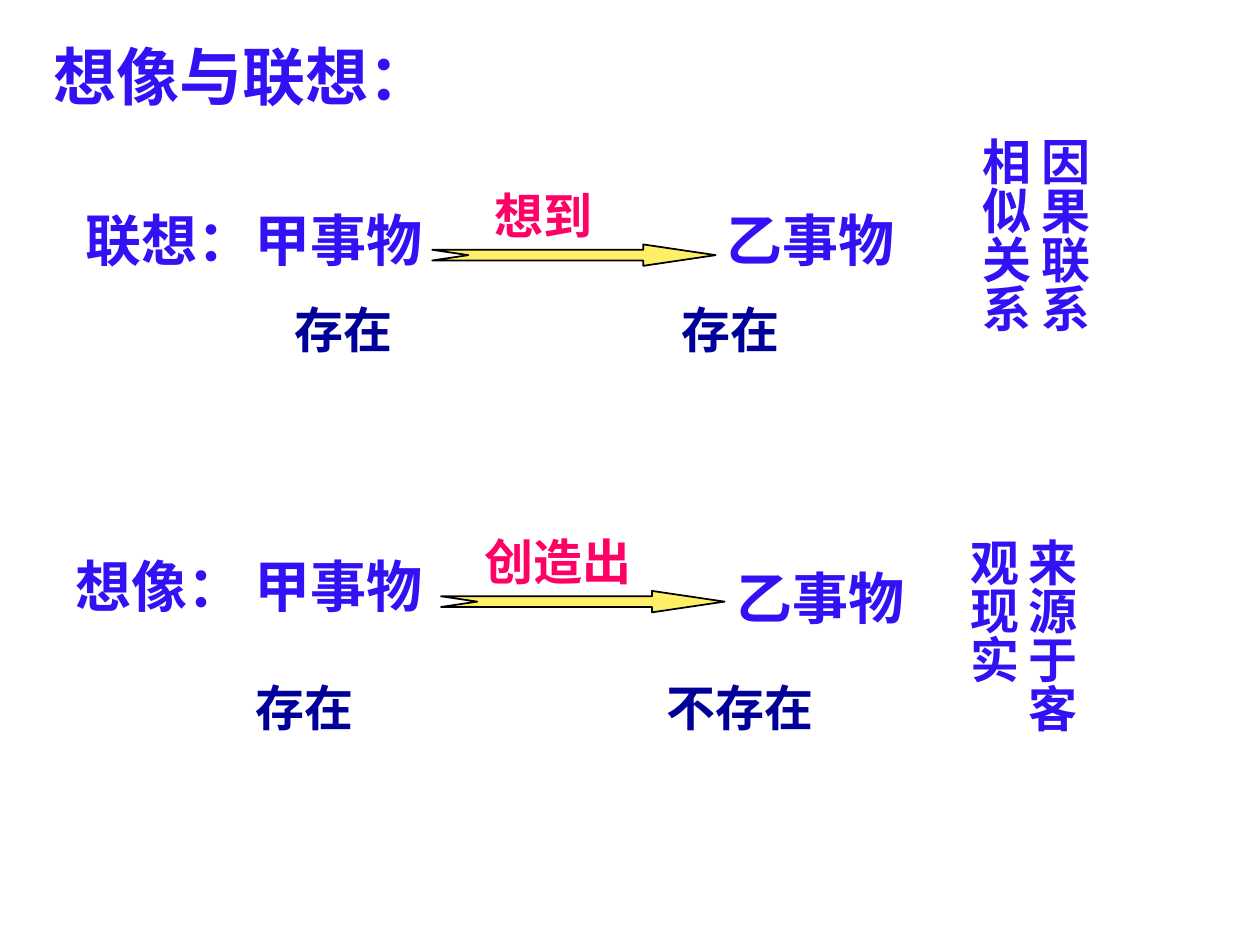
"""Builds a slide contrasting association and imagination."""
from lxml.etree import SubElement
from pptx import Presentation
from pptx.dml.color import RGBColor
from pptx.enum.lang import MSO_LANGUAGE_ID
from pptx.enum.shapes import MSO_SHAPE
from pptx.enum.text import MSO_AUTO_SIZE
from pptx.oxml.ns import qn
from pptx.util import Inches, Pt

BLUE = RGBColor(0x32, 0x11, 0xF5)
NAVY = RGBColor(0x00, 0x00, 0x99)
PINK = RGBColor(0xFF, 0x00, 0x66)
YELLOW = RGBColor(0xFF, 0xEF, 0x66)
BLACK = RGBColor(0x00, 0x00, 0x00)


class Board:
    FONT = {"name": "Arial", "bold": True,
            "language_id": MSO_LANGUAGE_ID.SIMPLIFIED_CHINESE}
    FRAME = {"word_wrap": True, "auto_size": MSO_AUTO_SIZE.SHAPE_TO_FIT_TEXT}
    SIDEWAYS = {"margin_left": Inches(0.05), "margin_right": Inches(0.05),
                "margin_top": Inches(0.1), "margin_bottom": Inches(0.1)}

    def __init__(self, slide):
        self.slide = slide

    def label(self, words, left, top, width, height, size, color):
        box = self.slide.shapes.add_textbox(
            Inches(left), Inches(top), Inches(width), Inches(height))
        frame = box.text_frame
        for key, value in self.FRAME.items():
            setattr(frame, key, value)
        run = frame.paragraphs[0].add_run()
        run.text = words
        for key, value in {**self.FONT, "size": Pt(size)}.items():
            setattr(run.font, key, value)
        run.font.color.rgb = color
        SubElement(run.font._element, qn("a:ea"), typeface=self.FONT["name"])
        return frame

    def vertical_label(self, words, left, top, height):
        frame = self.label(words, left, top, 1.13, height, 28, BLUE)
        for key, value in self.SIDEWAYS.items():
            setattr(frame, key, value)
        frame._txBody.bodyPr.set("vert", "eaVert")

    def arrow(self, left, top):
        arrow = self.slide.shapes.add_shape(
            MSO_SHAPE.NOTCHED_RIGHT_ARROW,
            Inches(left), Inches(top), Inches(2.25), Inches(0.17))
        arrow.adjustments[1] = 3.38
        arrow.shadow.inherit = False
        arrow.fill.solid()
        arrow.fill.fore_color.rgb = YELLOW
        arrow.line.color.rgb = BLACK
        arrow.line.width = Pt(1)


def main():
    deck = Presentation()
    deck.slide_width, deck.slide_height = Inches(10), Inches(7.5)
    board = Board(deck.slides.add_slide(deck.slide_layouts[6]))

    board.label("想像与联想：", 0.33, 0.25, 3.33, 0.7, 36, BLUE)
    for words, left, top, width in (
            ("联想：", 0.58, 1.58, 2), ("甲事物", 1.92, 1.58, 1.67),
            ("乙事物", 5.67, 1.58, 2.5), ("想像：", 0.5, 4.33, 1.67),
            ("甲事物", 1.92, 4.33, 1.75), ("乙事物", 5.75, 4.42, 2.42)):
        board.label(words, left, top, width, 0.64, 32, BLUE)
    for words, left, top, width, color in (
            ("想到", 3.83, 1.42, 1.83, PINK), ("创造出", 3.75, 4.17, 1.75, PINK),
            ("存在", 2.24, 2.33, 1.5, NAVY), ("存在", 5.31, 2.33, 1.5, NAVY),
            ("存在", 1.93, 5.33, 1.5, NAVY), ("不存在", 5.19, 5.33, 1.5, NAVY)):
        board.label(words, left, top, width, 0.57, 28, color)
    for left, top in ((3.43, 1.94), (3.5, 4.69)):
        board.arrow(left, top)
    board.vertical_label("因果联系相似关系", 7.6, 0.99, 2)
    board.vertical_label("来源于客观现实", 7.5, 4.17, 1.8)

    deck.save("out.pptx")


if __name__ == "__main__":
    main()
